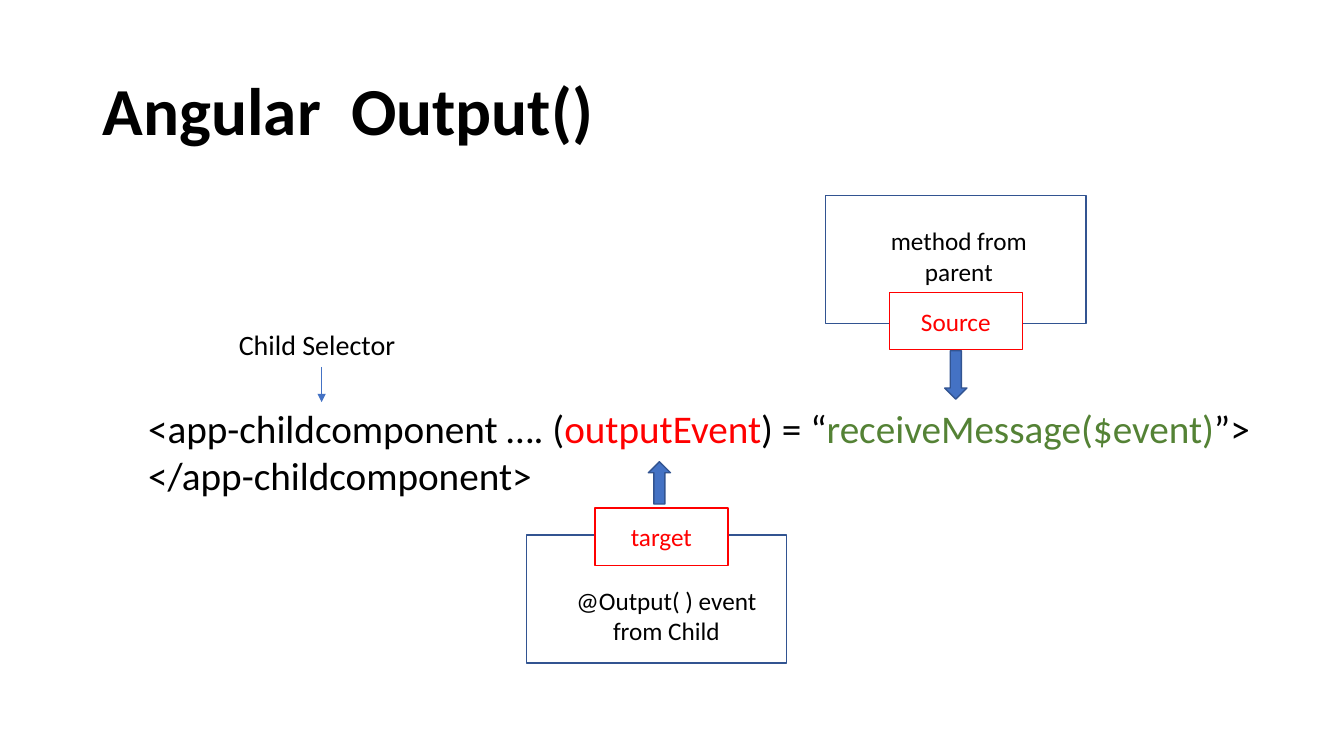
"""Build the slide that explains Angular output binding."""
import pptx
import pptx.util
import pptx.dml.color
import pptx.enum.shapes
import pptx.enum.text
import pptx.oxml

RGB = pptx.dml.color.RGBColor
BLACK = RGB(0, 0, 0)
WHITE = RGB(255, 255, 255)
RED = RGB(255, 0, 0)
GREEN = RGB(0x54, 0x82, 0x35)
BLUE = RGB(0x44, 0x72, 0xC4)
NAVY = RGB(0x32, 0x54, 0x91)

KIND = pptx.enum.shapes.MSO_SHAPE
ALIGN = pptx.enum.text.PP_ALIGN
ANCHOR = pptx.enum.text.MSO_ANCHOR
FONT = "Calibri"
PX = 9144
SIZE = (1333, 750)

TITLE = ("Angular  Output()", (92, 40, 1150, 145))
CODE = [
    [("<app-childcomponent …. (", BLACK), ("outputEvent", RED), (") = “", BLACK),
     ("receiveMessage($event)", GREEN), ("”>", BLACK)],
    [("</app-childcomponent>", BLACK)],
]
CODE_AT = (137, 396, 1150, 104)
PICK = ("Child Selector", (227, 320, 186, 44))
PICK_LINE = (319, 364, 319, 399)
FRAME = (258, 127)
TAG = (132, 57)
ENDS = [
    {"frame": (522, 531), "tag": ("target", 590, 504),
     "note": ("@Output( ) event from Child", (561, 576, 200, 71)),
     "arrow": (KIND.UP_ARROW, (643, 458, 22, 42))},
    {"frame": (819, 194), "tag": ("Source", 882, 290),
     "note": ("method from parent", (839, 219, 224, 71)),
     "arrow": (KIND.DOWN_ARROW, (937, 348, 22, 48))},
]


def emu(*nums):
    return [num * PX for num in nums]


def style(para, size, color, align=ALIGN.LEFT, bold=False):
    para.alignment = align
    for run in para.runs:
        run.font.name = FONT
        run.font.size = pptx.util.Pt(size)
        run.font.bold = bold
        run.font.color.rgb = color


def add_box(slide, kind, at, fill, edge):
    box = slide.shapes.add_shape(kind, *emu(*at))
    box.shadow.inherit = False
    if fill is None:
        box.fill.background()
    else:
        box.fill.solid()
        box.fill.fore_color.rgb = fill
    box.line.color.rgb = edge
    box.line.width = pptx.util.Pt(1)
    return box


def add_text(slide, at):
    frame = slide.shapes.add_textbox(*emu(*at)).text_frame
    frame.word_wrap = True
    return frame


def add_label(slide, text, at, size, align):
    frame = add_text(slide, at)
    frame.text = text
    style(frame.paragraphs[0], size, BLACK, align)


def add_title(slide):
    text, at = TITLE
    title = slide.shapes.title
    title.left, title.top, title.width, title.height = emu(*at)
    frame = title.text_frame
    frame.text = text
    frame.vertical_anchor = ANCHOR.MIDDLE
    para = frame.paragraphs[0]
    para.line_spacing = 0.9
    style(para, 48, BLACK, bold=True)


def add_code(slide):
    frame = add_text(slide, CODE_AT)
    for row, parts in enumerate(CODE):
        para = frame.add_paragraph() if row else frame.paragraphs[0]
        for text, color in parts:
            run = para.add_run()
            run.text = text
            run.font.name = FONT
            run.font.size = pptx.util.Pt(28)
            run.font.color.rgb = color


def add_end(slide, end):
    add_box(slide, KIND.RECTANGLE, end["frame"] + FRAME, None, NAVY)
    text, left, top = end["tag"]
    tag = add_box(slide, KIND.RECTANGLE, (left, top) + TAG, WHITE, RED)
    tag.text_frame.text = text
    tag.text_frame.vertical_anchor = ANCHOR.MIDDLE
    style(tag.text_frame.paragraphs[0], 18, RED, ALIGN.CENTER)
    note, at = end["note"]
    add_label(slide, note, at, 18, ALIGN.CENTER)
    kind, at = end["arrow"]
    add_box(slide, kind, at, BLUE, NAVY)


def add_pick(slide):
    text, at = PICK
    add_label(slide, text, at, 20, ALIGN.LEFT)
    straight = pptx.enum.shapes.MSO_CONNECTOR.STRAIGHT
    line = slide.shapes.add_connector(straight, *emu(*PICK_LINE))
    line.line.color.rgb = BLUE
    line.line.width = pptx.util.Pt(0.5)
    space = 'xmlns:a="http://schemas.openxmlformats.org/drawingml/2006/main"'
    head = pptx.oxml.parse_xml(f'<a:tailEnd {space} type="triangle"/>')
    line.line._get_or_add_ln().append(head)
    line._element.spPr.append(pptx.oxml.parse_xml(f"<a:effectLst {space}/>"))


def main():
    deck = pptx.Presentation()
    deck.slide_width, deck.slide_height = emu(*SIZE)
    slide = deck.slides.add_slide(deck.slide_layouts[5])
    add_title(slide)
    add_code(slide)
    for end in ENDS:
        add_end(slide, end)
    add_pick(slide)
    deck.save("out.pptx")


if __name__ == "__main__":
    main()
